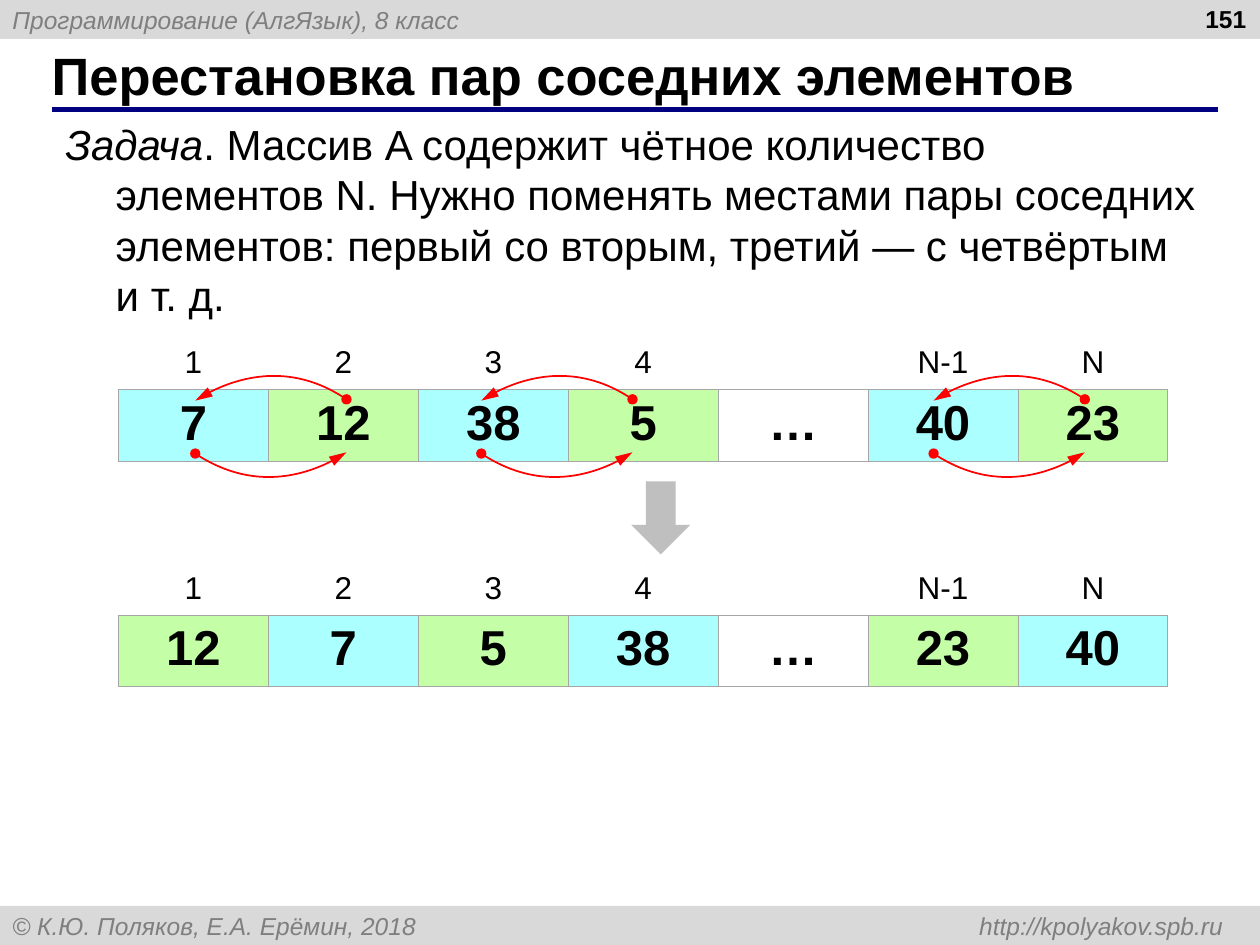
"""Builds the slide about swapping pairs of neighbouring array elements."""
import pptx
import pptx.chart.data
import pptx.dml.color
import pptx.enum.shapes
import pptx.enum.text
import pptx.oxml
import pptx.oxml.ns
import pptx.util
from lxml import etree

Inches = pptx.util.Inches
Pt = pptx.util.Pt
qn = pptx.oxml.ns.qn
MSO_SHAPE = pptx.enum.shapes.MSO_SHAPE
ANCHOR = pptx.enum.text.MSO_ANCHOR
ALIGN = pptx.enum.text.PP_ALIGN


def rgb(value):
    return pptx.dml.color.RGBColor.from_string(value)


def style(p, size, color="000000", bold=False, italic=False):
    for r in p.runs:
        r.font.name = "Arial"
        r.font.size = Pt(size)
        r.font.color.rgb = rgb(color)
        r.font.bold = bold
        r.font.italic = italic


prs = pptx.Presentation()
prs.slide_width = Inches(10)
prs.slide_height = Inches(7.5)
s = prs.slides.add_slide(prs.slide_layouts[6])

bars = [
    (0, "Программирование (АлгЯзык), 8 класс"),
    (7.19, "© К.Ю. Поляков, Е.А. Ерёмин, 2018 \thttp://kpolyakov.spb.ru"),
]
for top, text in bars:
    sp = s.shapes.add_shape(MSO_SHAPE.RECTANGLE, 0, Inches(top), Inches(10), Inches(0.31))
    sp.shadow.inherit = False
    sp.fill.solid()
    sp.fill.fore_color.rgb = rgb("D9D9D9")
    sp.line.fill.background()
    tf = sp.text_frame
    tf.vertical_anchor = ANCHOR.MIDDLE
    tf.text = text
    p = tf.paragraphs[0]
    p.alignment = ALIGN.LEFT
    if "\t" in text:
        tabs = etree.SubElement(p._p.get_or_add_pPr(), qn("a:tabLst"))
        etree.SubElement(tabs, qn("a:tab"), pos=str(Inches(9.61)), algn="r")
    style(p, 14, "7F7F7F", italic=True)

rule = s.shapes.add_connector(
    pptx.enum.shapes.MSO_CONNECTOR.STRAIGHT,
    Inches(0.41), Inches(0.87), Inches(9.67), Inches(0.87))
rule.line.color.rgb = rgb("000080")
rule.line.width = Pt(3)
etree.SubElement(rule._element.spPr, qn("a:effectLst"))

title = s.shapes.add_textbox(Inches(0.34), Inches(0.33), Inches(9.16), Inches(0.52))
tf = title.text_frame
tf.word_wrap = True
tf.vertical_anchor = ANCHOR.MIDDLE
tf.margin_left = tf.margin_right = Inches(0.07)
tf.text = "Перестановка пар соседних элементов"
style(tf.paragraphs[0], 30, bold=True)

number = s.shapes.add_textbox(Inches(7.66), Inches(-0.02), Inches(2.33), Inches(0.52))
tf = number.text_frame
tf.word_wrap = True
tf.text = "151"
tf.paragraphs[0].alignment = ALIGN.RIGHT
style(tf.paragraphs[0], 14, bold=True)

task = s.shapes.add_textbox(Inches(0.42), Inches(0.89), Inches(9.21), Inches(1.7))
tf = task.text_frame
tf.word_wrap = True
tf.auto_size = pptx.enum.text.MSO_AUTO_SIZE.SHAPE_TO_FIT_TEXT
p = tf.paragraphs[0]
p.add_run().text = "Задача"
p.add_run().text = (
    ". Массив A содержит чётное количество элементов N. "
    "Нужно поменять местами пары соседних элементов: "
    "первый со вторым, третий — с четвёртым и т. д.")
pPr = p._p.get_or_add_pPr()
pPr.set("marL", str(Inches(0.4)))
pPr.set("indent", str(Inches(-0.4)))
style(p, 24)
p.runs[0].font.italic = True

indices = ["1", "2", "3", "4", "", "N-1", "N"]
odd, even = "ABFFFF", "C4FFA7"
arrays = [
    (2.69, ["7", "12", "38", "5", "…", "40", "23"], [odd, even]),
    (4.48, ["12", "7", "5", "38", "…", "23", "40"], [even, odd]),
]
for top, values, pair in arrays:
    frame = s.shapes.add_table(2, 7, Inches(0.94), Inches(top), Inches(8.33), Inches(0.97))
    table = frame.table
    table.first_row = table.horz_banding = False
    table._tbl.tblPr.find(qn("a:tableStyleId")).text = "{2D5ABB26-0587-4C30-8999-92F81FD0307C}"
    table.rows[0].height = Inches(0.4)
    table.rows[1].height = Inches(0.57)
    fills = pair * 2 + [None] + pair
    rows = [
        (indices, [None] * 7, 18, 4.5, ["lnB"]),
        (values, fills, 28, 7, ["lnL", "lnR", "lnT", "lnB"]),
    ]
    for i, (texts, colors, size, before, sides) in enumerate(rows):
        for j, (text, color) in enumerate(zip(texts, colors)):
            table.columns[j].width = Inches(1.19)
            cell = table.cell(i, j)
            cell.text = text
            p = cell.text_frame.paragraphs[0]
            p.alignment = ALIGN.CENTER
            p.space_before = Pt(before)
            style(p, size, bold=i == 1)
            tcPr = cell._tc.get_or_add_tcPr()
            for side in sides:
                ln = etree.SubElement(tcPr, qn("a:" + side), w=str(Pt(0.45)))
                fill = etree.SubElement(ln, qn("a:solidFill"))
                etree.SubElement(fill, qn("a:srgbClr"), val="A6A6A6")
            if color:
                cell.fill.solid()
                cell.fill.fore_color.rgb = rgb(color)
            else:
                cell.fill.background()

upper = [(1.2, 3.17), (0.84, 2.92), (0.34, 2.95), (0, 3.18)]
lower = [(0, 3.6), (0.37, 3.85), (0.87, 3.82), (1.2, 3.59)]
for left in (1.55, 3.82, 7.41):
    swap = s.shapes.add_group_shape()
    for curve in (upper, lower):
        points = [(Inches(left + x), Inches(y)) for x, y in curve]
        builder = swap.shapes.build_freeform(*points[0])
        builder.add_line_segments(points[1:], close=False)
        sp = builder.convert_to_shape()
        sp.shadow.inherit = False
        sp.fill.background()
        sp.line.color.rgb = rgb("FF0000")
        sp.line.width = Pt(1)
        outline = sp._element.find(".//" + qn("a:path"))
        segments = outline.findall(qn("a:lnTo"))
        bezier = etree.SubElement(outline, qn("a:cubicBezTo"))
        for segment in segments:
            bezier.append(segment[0])
            outline.remove(segment)
        ln = sp.line._get_or_add_ln()
        etree.SubElement(ln, qn("a:headEnd"), type="oval")
        etree.SubElement(ln, qn("a:tailEnd"), type="triangle", len="lg")

arrow = s.shapes.add_shape(
    MSO_SHAPE.DOWN_ARROW, Inches(5.01), Inches(3.82), Inches(0.47), Inches(0.58))
arrow.shadow.inherit = False
arrow.fill.solid()
arrow.fill.fore_color.rgb = rgb("BFBFBF")
arrow.line.fill.background()

prs.save("out.pptx")
